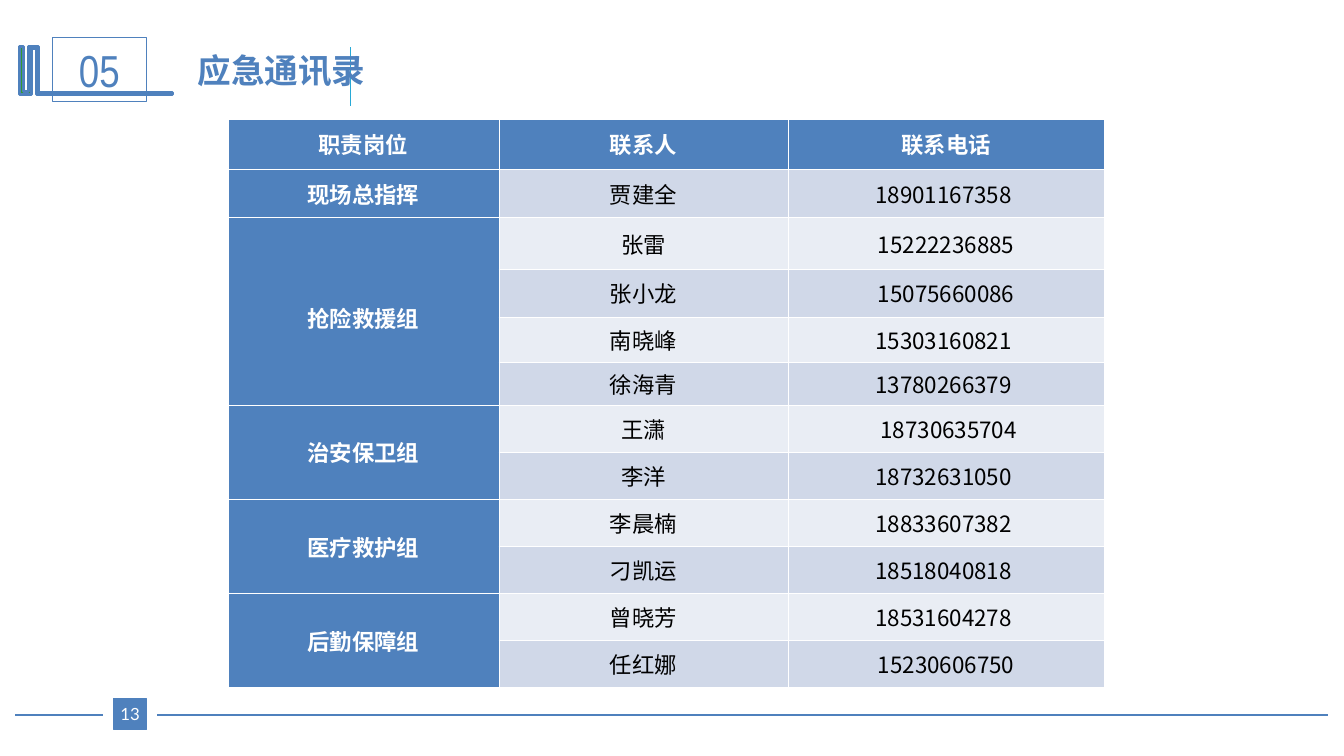
from dataclasses import dataclass

import pptx
import pptx.dml.color
import pptx.enum.shapes
import pptx.enum.text
import pptx.oxml
import pptx.oxml.ns
import pptx.util
from lxml import etree

Pt = pptx.util.Pt
RGB = pptx.dml.color.RGBColor.from_string
ALIGN = pptx.enum.text.PP_ALIGN
ANCHOR = pptx.enum.text.MSO_ANCHOR
qn = pptx.oxml.ns.qn


@dataclass(frozen=True)
class Theme:
    blue: str = "4F81BD"
    cyan: str = "28A9D6"
    green: str = "339933"
    white: str = "FFFFFF"
    black: str = "000000"
    bands: tuple = ("D0D8E8", "E9EDF4")
    font: str = "Lato"
    number_font: str = "Arial Narrow"
    cjk_font: str = "Noto Sans CJK SC"
    section_size: float = 32
    title_size: float = 24
    table_size: float = 16
    page_size: float = 12
    border: float = 0.45
    header_border: float = 1.47


class SlideBuilder:
    def __init__(self, prs, theme):
        self.theme = theme
        self.s = prs.slides.add_slide(prs.slide_layouts.get_by_name("Title Only"))

    def set_text(self, tf, text, size, color, font, bold=False, align=ALIGN.CENTER):
        tf.text = text
        p = tf.paragraphs[0]
        p.alignment = align
        r = p.runs[0]
        r.font.size, r.font.bold, r.font.name = Pt(size), bold, font
        r.font.color.rgb = RGB(color)
        ea = etree.SubElement(r._r.get_or_add_rPr(), qn("a:ea"))
        ea.set("typeface", self.theme.cjk_font)
        return p

    def outline(self, sp, fill, color, width):
        sp.shadow.inherit = False
        if fill:
            sp.fill.solid()
            sp.fill.fore_color.rgb = RGB(fill)
        else:
            sp.fill.background()
        sp.line.color.rgb = RGB(color)
        sp.line.width = Pt(width)

    def line(self, x1, y1, x2, y2, color, width):
        sp = self.s.shapes.add_connector(
            pptx.enum.shapes.MSO_CONNECTOR.STRAIGHT, Pt(x1), Pt(y1), Pt(x2), Pt(y2))
        sp.line.color.rgb = RGB(color)
        sp.line.width = Pt(width)
        etree.SubElement(sp._element.spPr, qn("a:effectLst"))

    def freeform(self, points, fill, color, width):
        start, *rest = [(Pt(x), Pt(y)) for x, y in points]
        builder = self.s.shapes.build_freeform(*start)
        builder.add_line_segments(rest, close=True)
        self.outline(builder.convert_to_shape(), fill, color, width)

    def box(self, x, y, w, h, text, size, color, font, fill=None, margin=0):
        sp = self.s.shapes.add_shape(
            pptx.enum.shapes.MSO_SHAPE.RECTANGLE, Pt(x), Pt(y), Pt(w), Pt(h))
        self.outline(sp, fill, self.theme.blue, 0.75)
        tf = sp.text_frame
        tf.margin_left = tf.margin_right = Pt(margin)
        tf.margin_top = tf.margin_bottom = Pt(margin / 2)
        tf.vertical_anchor = ANCHOR.MIDDLE
        self.set_text(tf, text, size, color, font)

    def title(self, x, y, w, h, text):
        """Fill the title placeholder and bring it in front of the decoration."""
        sp = self.s.shapes.title
        sp.left, sp.top, sp.width, sp.height = Pt(x), Pt(y), Pt(w), Pt(h)
        tf = sp.text_frame
        tf.word_wrap = True
        tf.auto_size = pptx.enum.text.MSO_AUTO_SIZE.SHAPE_TO_FIT_TEXT
        tf.vertical_anchor = ANCHOR.TOP
        self.set_text(tf, text, self.theme.title_size, self.theme.blue,
                      self.theme.font, True, ALIGN.LEFT)
        sp._element.getparent().append(sp._element)

    def cell(self, cell, text, row, heading):
        t = self.theme
        widths = {"L": t.border, "R": t.border,
                  "T": t.header_border if row == 1 else t.border,
                  "B": t.header_border if row == 0 else t.border}
        tcPr = cell._tc.get_or_add_tcPr()
        for side, width in widths.items():
            ln = etree.SubElement(tcPr, qn(f"a:ln{side}"), w=str(int(Pt(width))))
            fill = etree.SubElement(ln, qn("a:solidFill"))
            etree.SubElement(fill, qn("a:srgbClr"), val=t.white)
        cell.fill.solid()
        cell.fill.fore_color.rgb = RGB(t.blue if heading else t.bands[(row - 1) % 2])
        cell.margin_left = cell.margin_right = Pt(5)
        cell.margin_top = cell.margin_bottom = Pt(3.6)
        cell.vertical_anchor = ANCHOR.MIDDLE
        if text:
            return self.set_text(cell.text_frame, text, t.table_size,
                                 t.white if heading else t.black, t.cjk_font, heading)

    def contact_table(self, x, y, col_widths, row_heights, header, groups):
        """Draw one merged group cell beside the contacts of each group."""
        table = self.s.shapes.add_table(
            len(row_heights), len(col_widths), Pt(x), Pt(y),
            Pt(sum(col_widths)), Pt(sum(row_heights))).table
        for column, width in zip(table.columns, col_widths):
            column.width = Pt(width)
        for row, height in zip(table.rows, row_heights):
            row.height = Pt(height)
        for col, text in enumerate(header):
            self.cell(table.cell(0, col), text, 0, True)
        row = 1
        for group, contacts in groups:
            first = row
            for contact in contacts:
                p = self.cell(table.cell(row, 0), group if row == first else "", row, True)
                if p and len(contacts) > 2:
                    p.line_spacing = Pt(32)
                for col, text in enumerate(contact, 1):
                    self.cell(table.cell(row, col), text, row, False)
                row += 1
            if len(contacts) > 1:
                table.cell(first, 0).merge(table.cell(row - 1, 0))


BRACKET = [
    (26.6, 33.1), (27.4, 33.1), (27.4, 66.2), (123.1, 66.2), (123.1, 67.7),
    (25.9, 67.7), (25.9, 34.6), (22.3, 34.6), (22.3, 67.7), (13.7, 67.7),
    (13.7, 33.1), (16.6, 33.1), (16.6, 65.5), (20.2, 65.5), (20.2, 33.1),
]
HEADER = ("职责岗位", "联系人", "联系电话")
GROUPS = [
    ("现场总指挥", [("贾建全", "18901167358 ")]),
    ("抢险救援组", [("张雷", "15222236885"), ("张小龙", "15075660086"),
               ("南晓峰", "15303160821 "), ("徐海青", "13780266379 ")]),
    ("治安保卫组", [("王潇", " 18730635704"), ("李洋", "18732631050 ")]),
    ("医疗救护组", [("李晨楠", "18833607382 "), ("刁凯运", "18518040818 ")]),
    ("后勤保障组", [("曾晓芳", "18531604278 "), ("任红娜", "15230606750")]),
]
COL_WIDTHS = [193.7, 206.6, 226.1]
ROW_HEIGHTS = [36, 34.4, 36.8, 34.4, 32.2, 30.5, 34, 33.4] + [33.6] * 4


def main():
    theme = Theme()
    prs = pptx.Presentation()
    prs.slide_width, prs.slide_height = Pt(960.5), Pt(540)
    b = SlideBuilder(prs, theme)
    b.line(949, 510.5, 112.3, 510.5, theme.blue, 1.25)
    b.line(73.4, 510.5, 10.8, 510.5, theme.blue, 1.25)
    b.line(250.6, 33.8, 250.6, 75.6, theme.cyan, 1)
    b.freeform(BRACKET, theme.green, theme.blue, 2)
    b.box(37.4, 26.6, 67.2, 46, "05", theme.section_size, theme.blue,
          theme.number_font, margin=7.2)
    b.box(81.4, 499, 23.2, 22.4, "13", theme.page_size, theme.white,
          theme.font, fill=theme.blue)
    b.title(134, 31.7, 697.7, 36, "应急通讯录")
    b.contact_table(162.8, 85, COL_WIDTHS, ROW_HEIGHTS, HEADER, GROUPS)
    prs.save("out.pptx")


if __name__ == "__main__":
    main()
